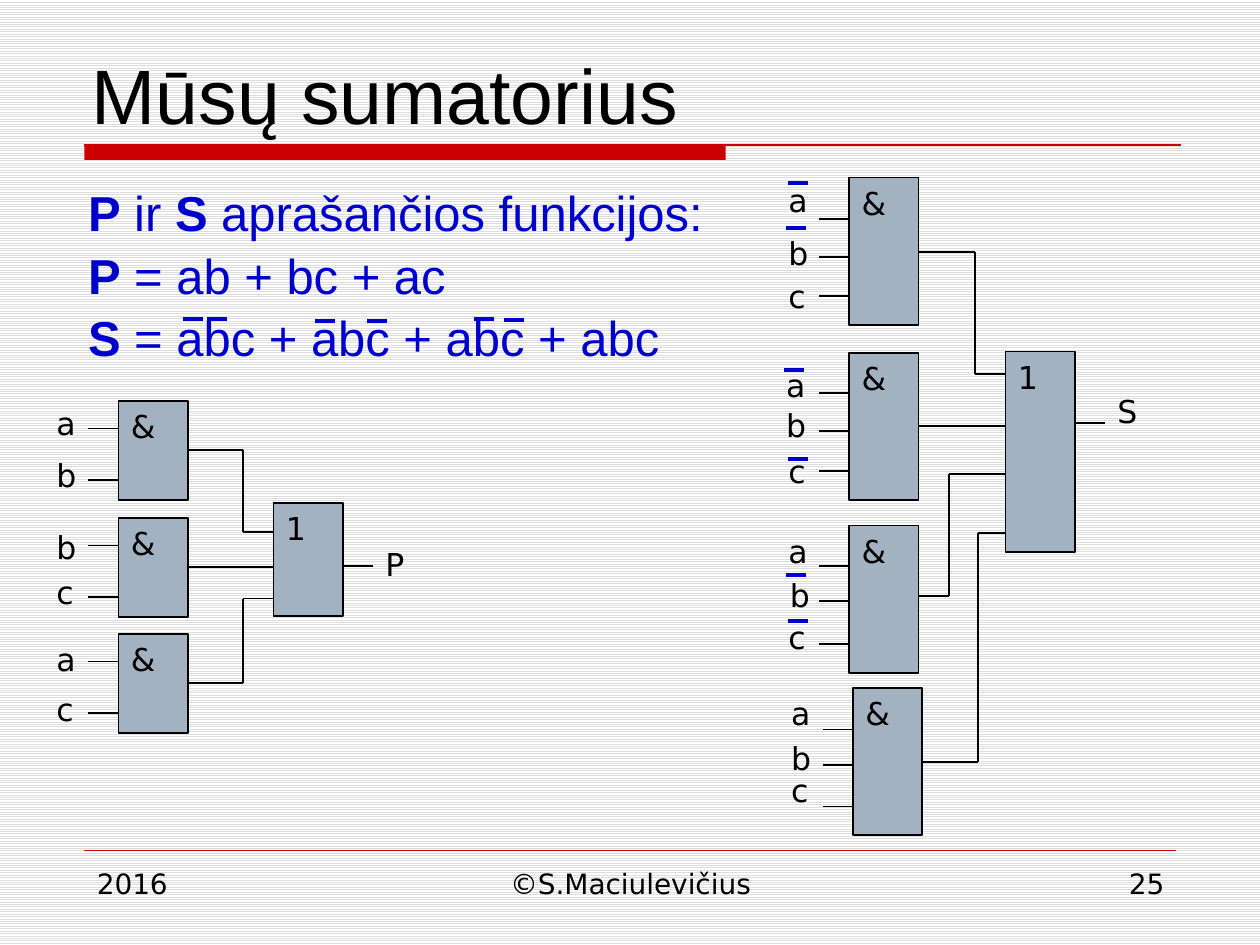
"""Build the slide showing the logic circuits of an adder."""
from dataclasses import dataclass
from itertools import pairwise

from lxml.etree import SubElement
from pptx import Presentation
from pptx.dml.color import RGBColor as Color
from pptx.enum.dml import MSO_PATTERN as Pattern
from pptx.enum.shapes import MSO_CONNECTOR as Connector, MSO_SHAPE as Shape
from pptx.enum.text import MSO_ANCHOR as Anchor, PP_ALIGN as Align
from pptx.oxml.ns import qn
from pptx.util import Inches, Pt


@dataclass(frozen=True)
class Theme:
    black = Color(0x00, 0x00, 0x00)
    white = Color(0xFF, 0xFF, 0xFF)
    stripe = Color(0xDD, 0xDD, 0xDD)
    red = Color(0xCC, 0x00, 0x00)
    blue = Color(0x00, 0x00, 0xCC)
    gate = Color(0xA3, 0xB2, 0xC1)
    heading_font = "Arial"
    label_font = "DejaVu Sans"
    title_size = Pt(44)
    body_size = Pt(28)
    label_size = Pt(18)
    footer_size = Pt(16)


theme = Theme()
deck = Presentation()
deck.slide_width, deck.slide_height = Inches(10), Inches(7.5)
page = deck.slides.add_slide(deck.slide_layouts[6])
backdrop = page.background.fill
backdrop.patterned()
backdrop.pattern = Pattern.LIGHT_HORIZONTAL
backdrop.fore_color.rgb = theme.stripe
backdrop.back_color.rgb = theme.white


def add_line(start, end, color=theme.black, weight=1):
    line = page.shapes.add_connector(Connector.STRAIGHT, *map(Inches, start + end))
    line.line.color.rgb = color
    line.line.width = Pt(weight)
    SubElement(line._element.spPr, qn("a:effectLst"))


def write(box, lines, size, font=theme.label_font, color=theme.black,
          align=Align.LEFT, anchor=Anchor.TOP):
    frame = box.text_frame
    frame.word_wrap = True
    frame.vertical_anchor = anchor
    for index, runs in enumerate(lines):
        para = frame.add_paragraph() if index else frame.paragraphs[0]
        para.alignment = align
        for text, bold in runs:
            span = para.add_run()
            span.text = text
            span.font.name, span.font.size = font, size
            span.font.bold = bold
            span.font.color.rgb = color


banner = page.shapes.add_shape(Shape.RECTANGLE, *map(Inches, (0.67, 1.15, 5.09, 0.12)))
banner.shadow.inherit = False
banner.fill.solid()
banner.fill.fore_color.rgb = theme.red
banner.line.fill.background()
add_line((0.67, 1.15), (9.37, 1.15), theme.red, 0.75)
add_line((0.67, 6.75), (9.33, 6.75), theme.red, 0.25)

for text, left, width, align in [
    ("2016", 0.67, 2.17, Align.LEFT),
    ("©S.Maciulevičius", 3.42, 3.17, Align.CENTER),
    ("25", 7.17, 2.17, Align.RIGHT),
]:
    footer = page.shapes.add_textbox(*map(Inches, (left, 6.83, width, 0.52)))
    write(footer, [[(text, False)]], theme.footer_size, align=align)

title = page.shapes.add_textbox(*map(Inches, (0.63, 0.33, 8.75, 0.82)))
write(title, [[("Mūsų sumatorius", False)]], theme.title_size,
      theme.heading_font, anchor=Anchor.MIDDLE)

formulas = page.shapes.add_textbox(*map(Inches, (0.6, 1.45, 5.22, 1.51)))
write(formulas, [
    [("P", True), (" ir ", False), ("S", True), (" aprašančios funkcijos:", False)],
    [("P", True), (" = ab + bc + ac", False)],
    [("S", True), (" = abc + abc + abc + abc", False)],
], theme.body_size, theme.heading_font, theme.blue)
for para in formulas.text_frame.paragraphs:
    para.line_spacing = 0.9
    para.space_before = Pt(5.6)

wires = [
    [(1.49, 3.57), (1.93, 3.57), (1.93, 4.22), (2.17, 4.22)],
    [(1.49, 4.5), (2.17, 4.5)],
    [(1.49, 5.42), (1.93, 5.42), (1.93, 4.75), (2.17, 4.75)],
    [(2.73, 4.49), (2.96, 4.49)],
    [(7.29, 2), (7.74, 2), (7.74, 2.97), (7.98, 2.97)],
    [(7.29, 3.38), (7.98, 3.38)],
    [(7.29, 4.73), (7.53, 4.73), (7.53, 3.76), (7.98, 3.76)],
    [(7.32, 6.05), (7.76, 6.05), (7.76, 4.23), (7.98, 4.23)],
    [(8.53, 3.36), (8.77, 3.36)],
]
for wire in wires:
    for start, end in pairwise(wire):
        add_line(start, end)

gates = [
    ("&", 0.94, 3.18, 0.79, [3.4, 3.81]),
    ("&", 0.94, 4.11, 0.79, [4.33, 4.74]),
    ("&", 0.94, 5.03, 0.79, [5.25, 5.66]),
    ("1", 2.17, 3.99, 0.9, []),
    ("&", 6.74, 1.41, 1.17, [1.74, 2.04, 2.35]),
    ("&", 6.74, 2.8, 1.17, [3.12, 3.42, 3.74]),
    ("&", 6.74, 4.17, 1.17, [4.49, 4.77, 5.11]),
    ("&", 6.77, 5.46, 1.17, [5.79, 6.07, 6.4]),
    ("1", 7.98, 2.79, 1.59, []),
]
for symbol, left, top, height, inputs in gates:
    for level in inputs:
        add_line((left - 0.24, level), (left, level))
    gate = page.shapes.add_shape(Shape.RECTANGLE, *map(Inches, (left, top, 0.55, height)))
    gate.shadow.inherit = False
    gate.fill.solid()
    gate.fill.fore_color.rgb = theme.gate
    gate.line.color.rgb = theme.black
    gate.line.width = Pt(1)
    write(gate, [[(symbol, False)]], theme.label_size)

signals = [
    ("a", 0.35, 3.16), ("b", 0.35, 3.57), ("b", 0.35, 4.14),
    ("c", 0.35, 4.5), ("a", 0.35, 5.03), ("c", 0.35, 5.43), ("P", 2.96, 4.28),
    ("a", 6.16, 1.39), ("b", 6.16, 1.81), ("c", 6.16, 2.15),
    ("a", 6.14, 2.86), ("b", 6.14, 3.17), ("c", 6.16, 3.54),
    ("a", 6.16, 4.17), ("b", 6.17, 4.52), ("c", 6.16, 4.86),
    ("a", 6.18, 5.46), ("b", 6.18, 5.82), ("c", 6.18, 6.07), ("S", 8.77, 3.06),
]
for name, left, top in signals:
    label = page.shapes.add_textbox(*map(Inches, (left, top, 0.36, 0.4)))
    write(label, [[(name, False)]], theme.label_size)

negations = [
    (1.45, 2.53), (1.64, 2.53), (2.5, 2.55), (2.91, 2.55), (3.76, 2.53), (4, 2.54),
    (6.25, 1.45), (6.24, 1.81), (6.22, 2.94), (6.25, 3.64), (6.24, 4.56), (6.25, 4.93),
]
for left, level in negations:
    add_line((left, level), (left + 0.16, level), theme.blue, 2.25)

deck.save("out.pptx")
